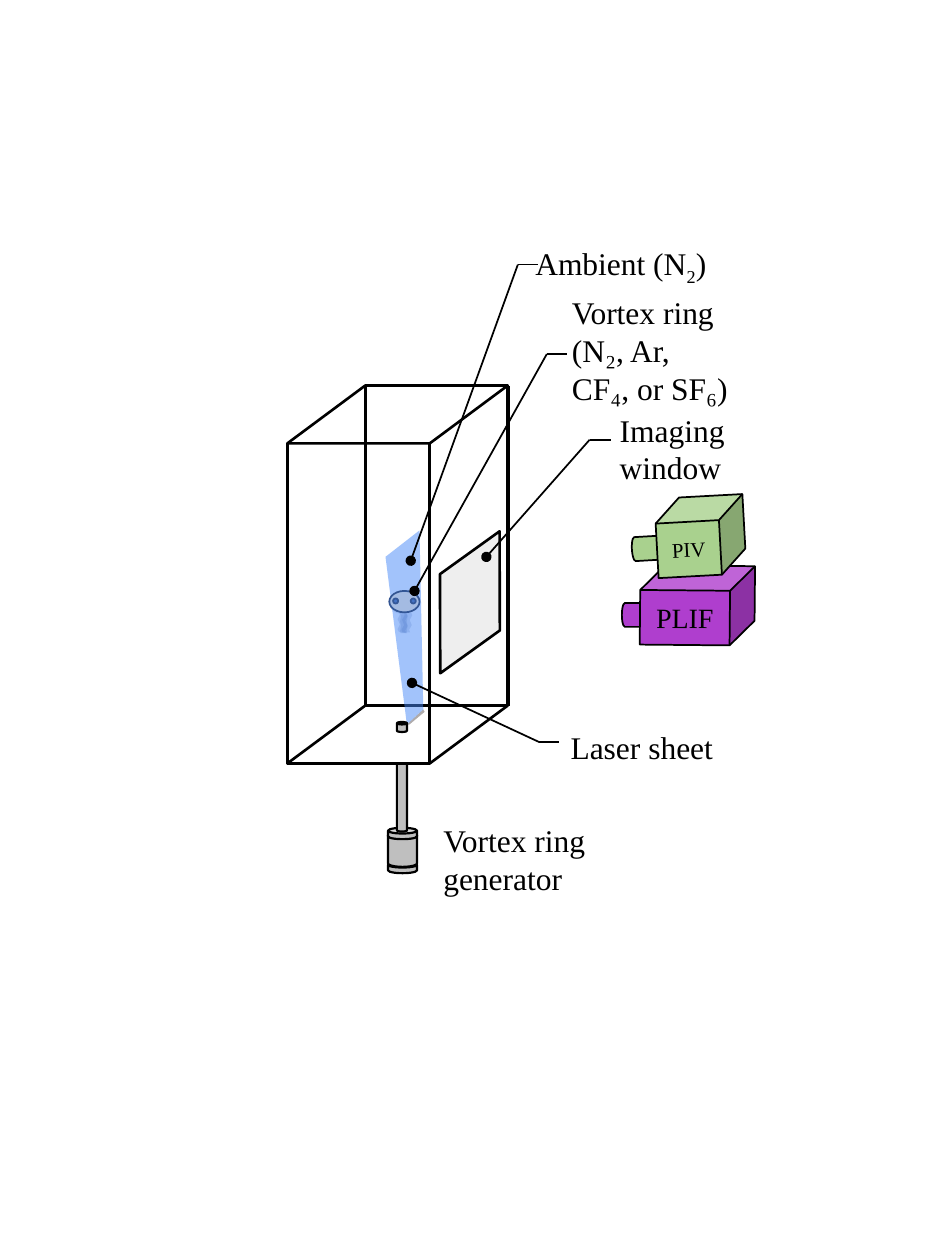
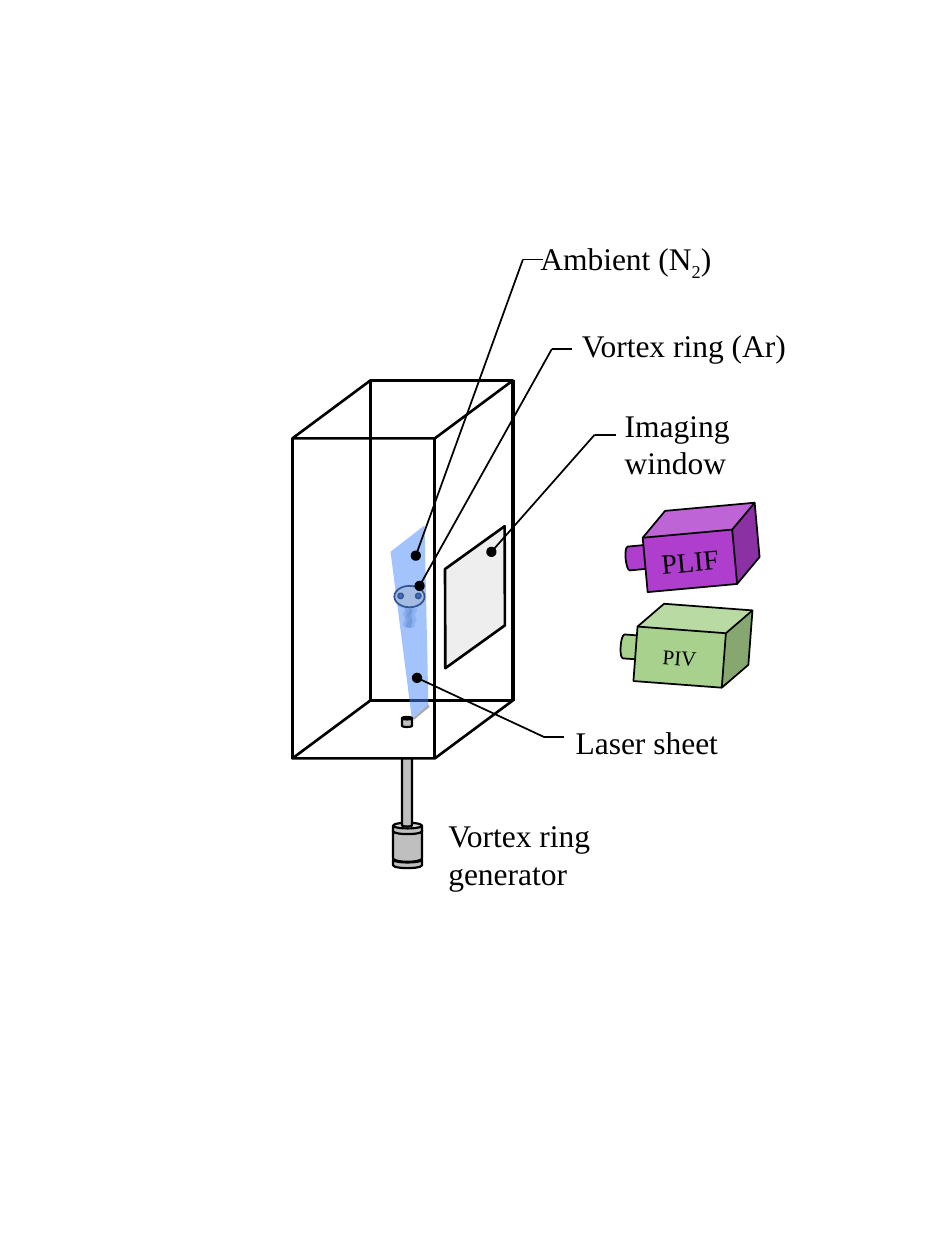
from lxml.etree import SubElement
from pptx import Presentation
from pptx.dml.color import RGBColor
from pptx.enum.shapes import MSO_CONNECTOR, MSO_SHAPE
from pptx.enum.text import MSO_ANCHOR, MSO_AUTO_SIZE, PP_ALIGN
from pptx.oxml.ns import qn
from pptx.util import Pt

PX = 9144  # EMU per px, 100 px to the inch
FONT = "Times New Roman"
STRAIGHT = MSO_CONNECTOR.STRAIGHT
CAN, CUBE, OVAL = MSO_SHAPE.CAN, MSO_SHAPE.CUBE, MSO_SHAPE.OVAL
SLANTED, WAVE = MSO_SHAPE.PARALLELOGRAM, MSO_SHAPE.DOUBLE_WAVE
OUTLINE = "outline"
LEFT, CENTER = PP_ALIGN.LEFT, PP_ALIGN.CENTER
TOP, MIDDLE = MSO_ANCHOR.TOP, MSO_ANCHOR.MIDDLE
FIT_SHAPE, FIT_NONE = MSO_AUTO_SIZE.SHAPE_TO_FIT_TEXT, MSO_AUTO_SIZE.NONE

COLORS = {
    "black": "000000",
    "white": "FFFFFF",
    "metal": "BFBFBF",
    "slit": "AFABAB",
    "laser": "4789F9",
    "glass": "D0CECE",
    "smoke": "4472C4",
    "ring": "B4C7E7",
    "ring edge": "325491",
    "ring core": "2F5597",
    "plif": "AF3ECE",
    "piv": "A9D18E",
}


def paint(shape, fill=None, alpha=None, line=None, weight=1, turn=0, adjust=()):
    """Set fill, opacity in percent, outline, rotation and adjustments."""
    shape.shadow.inherit = False
    shape.rotation = turn
    for index, value in enumerate(adjust):
        shape.adjustments[index] = value
    if fill:
        shape.fill.solid()
        shape.fill.fore_color.rgb = RGBColor.from_string(COLORS[fill])
    else:
        shape.fill.background()
    if alpha:
        color = shape.element.spPr.find(qn("a:solidFill"))[0]
        SubElement(color, qn("a:alpha"), val=str(alpha * 1000))
    if line:
        shape.line.color.rgb = RGBColor.from_string(COLORS[line])
        shape.line.width = Pt(weight)
    else:
        shape.line.fill.background()


def write(frame, text, size=18, align=LEFT, anchor=TOP, wrap=True, fit=FIT_SHAPE):
    """Fill a text frame; text between underscores becomes a subscript."""
    frame.word_wrap = wrap
    frame.auto_size = fit
    frame.vertical_anchor = anchor
    for number, line in enumerate(text.split("\n")):
        paragraph = frame.add_paragraph() if number else frame.paragraphs[0]
        paragraph.alignment = align
        for position, part in enumerate(line.split("_")):
            run = paragraph.add_run()
            run.text = part
            run.font.name = FONT
            run.font.size = Pt(size)
            run.font.color.rgb = RGBColor.from_string(COLORS["black"])
            if position % 2:
                run.font._element.set("baseline", "-25000")


metal = dict(fill="metal", line="black", weight=1.25)
smoke = dict(fill="smoke", alpha=20)
eye = dict(fill="smoke", line="ring edge")
chamber_face = dict(line="black", weight=1.5, adjust=[1.347])

# Back to front: (kind, left/top/width/height or outline points, format)
apparatus = [
    (CAN, (308, 684, 23, 9), dict(metal, adjust=[0.5])),
    (CAN, (308, 660, 23, 28), metal),
    (CAN, (308, 657, 23, 9), dict(metal, adjust=[0.5])),
    (CAN, (315, 602, 8, 58), metal),
    (SLANTED, (228, 560, 175, 46), dict(chamber_face, fill="white")),
    (OUTLINE, [(323, 575), (336, 563), (337, 565), (325, 575)], dict(fill="slit")),
    (OUTLINE, [(306, 442), (333, 421), (336, 563), (323, 575)],
     dict(fill="laser", alpha=50)),
    (CAN, (315, 573, 8, 8), metal),
    (SLANTED, (321, 446, 104, 64),
     dict(fill="glass", alpha=34, line="black", weight=1.5, turn=324.3, adjust=[0.715])),
    (OVAL, (313, 475, 15, 6), dict(line="ring core", weight=2.25)),
    (WAVE, (311, 490, 17, 8), dict(smoke, turn=270, adjust=[0.125, -0.033])),
    (WAVE, (315, 490, 16, 8), dict(smoke, turn=273.2, adjust=[0.125, 0.008])),
    (WAVE, (313, 492, 15, 6), dict(smoke, turn=90)),
    (OVAL, (309, 469, 24, 17), dict(fill="ring", line="ring edge")),
    (OVAL, (326, 475, 4, 4), eye),
    (OVAL, (312, 475, 4, 4), eye),
    (OVAL, (309, 469, 24, 18), dict(fill="smoke", alpha=14, turn=344.6)),
    (SLANTED, (228, 306, 175, 46), chamber_face),
]

# (start, end, weight, dot at start)
lines = [((x, bottom), (x, bottom - 254), 2, False)
         for x, bottom in [(228, 606), (341, 606), (403, 560), (290, 560)]]
leaders = [
    ((386, 442), (468, 349), 485),  # imaging window
    ((327, 542), (428, 589), 444),  # laser sheet
    ((329, 469), (434, 281), 450),  # vortex ring
    ((326, 445), (411, 210), 427),  # ambient
]
for target, knee, label_x in leaders:
    lines.append((target, knee, 1, True))
    lines.append((knee, (label_x, knee[1]), 1, False))

labels = [
    ("Vortex ring\ngenerator", (342, 647, 204, 71)),
    ("Imaging window", (482, 321, 106, 71)),
    ("Laser sheet", (443, 573, 145, 40)),
    ("Ambient (N_2_)", (415, 189, 185, 40)),
]

# Camera: (name, colour, text size, lens box, lens turn, body box, body turn)
setups = [
    dict(
        shift=(0, 0),
        ring_label=("Vortex ring\n(N₂, Ar, CF₄, or SF₆)", (444, 228, 145, 101)),
        cameras=[
            ("PLIF", "plif", 16, (500, 472, 19, 32), 90, (508, 449, 91, 63), 0.5),
            ("PIV", "piv", 12, (508, 419, 19, 32), 86.7, (521, 394, 70, 63), 356.9),
        ],
    ),
    dict(
        shift=(4, -4),
        ring_label=("Vortex ring (Ar)", (448, 258, 185, 40)),
        cameras=[
            ("PLIF", "plif", 16, (503, 426, 19, 32), 84.6, (511, 403, 91, 63), 354.8),
            ("PIV", "piv", 12, (499, 498, 19, 32), 94.1, (505, 481, 90, 63), 4.3),
        ],
    ),
]

deck = Presentation()
deck.slide_width, deck.slide_height = 750 * PX, 1000 * PX

for setup in setups:
    shapes = deck.slides.add_slide(deck.slide_layouts[6]).shapes
    dx, dy = setup["shift"]

    for kind, place, look in apparatus:
        if kind == OUTLINE:
            builder = shapes.build_freeform(*place[0], scale=PX)
            builder.add_line_segments(place[1:], close=True)
            part = builder.convert_to_shape(dx * PX, dy * PX)
        else:
            x, y, width, height = place
            part = shapes.add_shape(
                kind, (x + dx) * PX, (y + dy) * PX, width * PX, height * PX)
        paint(part, **look)

    for (x1, y1), (x2, y2), weight, dotted in lines:
        edge = shapes.add_connector(
            STRAIGHT, (x1 + dx) * PX, (y1 + dy) * PX, (x2 + dx) * PX, (y2 + dy) * PX)
        edge.line.color.rgb = RGBColor.from_string(COLORS["black"])
        edge.line.width = Pt(weight)
        if dotted:
            SubElement(edge.line._get_or_add_ln(), qn("a:headEnd"), type="oval")
        SubElement(edge.element.spPr, qn("a:effectLst"))

    for text, (x, y, width, height) in labels + [setup["ring_label"]]:
        label = shapes.add_textbox(
            (x + dx) * PX, (y + dy) * PX, width * PX, height * PX)
        write(label.text_frame, text)

    for name, color, size, lens_box, lens_turn, body_box, body_turn in setup["cameras"]:
        lens = shapes.add_shape(CAN, *[n * PX for n in lens_box])
        paint(lens, fill=color, line="black", turn=lens_turn)
        body = shapes.add_shape(CUBE, *[n * PX for n in body_box])
        paint(body, fill=color, line="black", turn=body_turn, adjust=[0.312])
        write(body.text_frame, name, size=size, align=CENTER, anchor=MIDDLE,
              wrap=False, fit=FIT_NONE)

deck.save("out.pptx")
